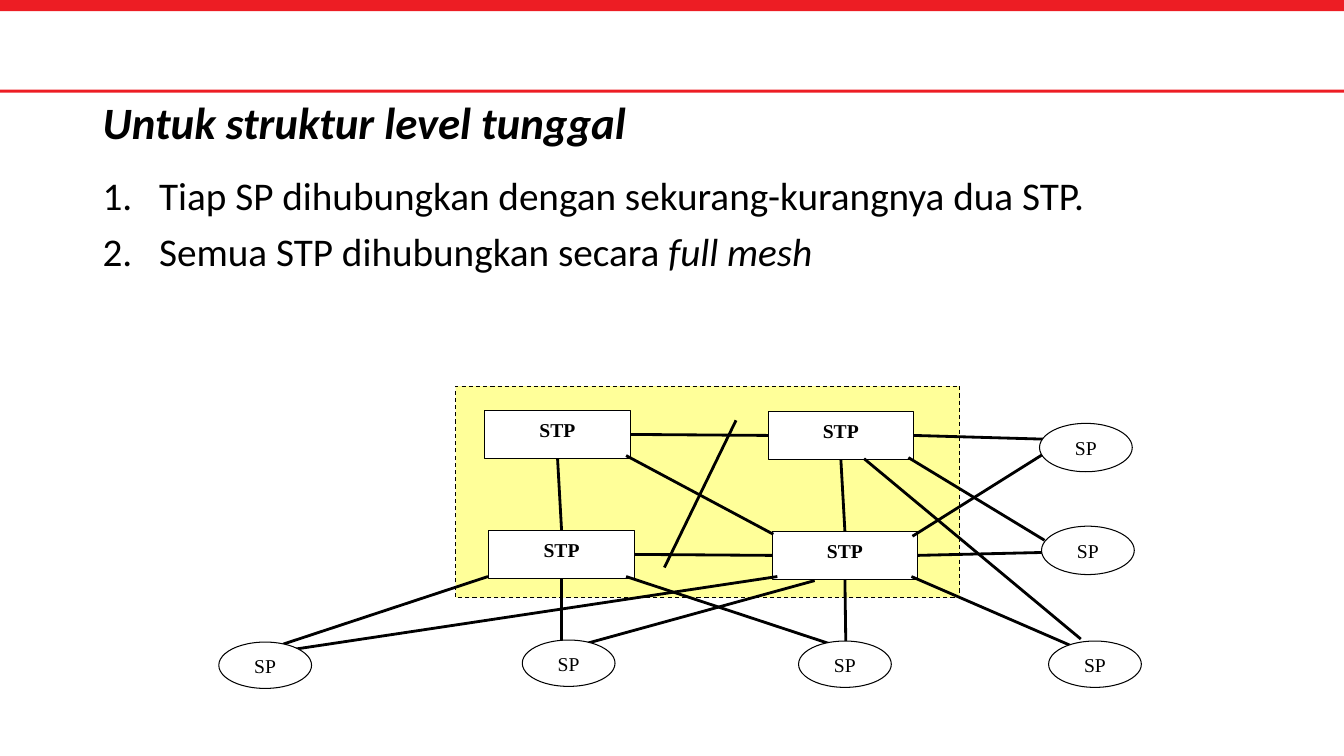
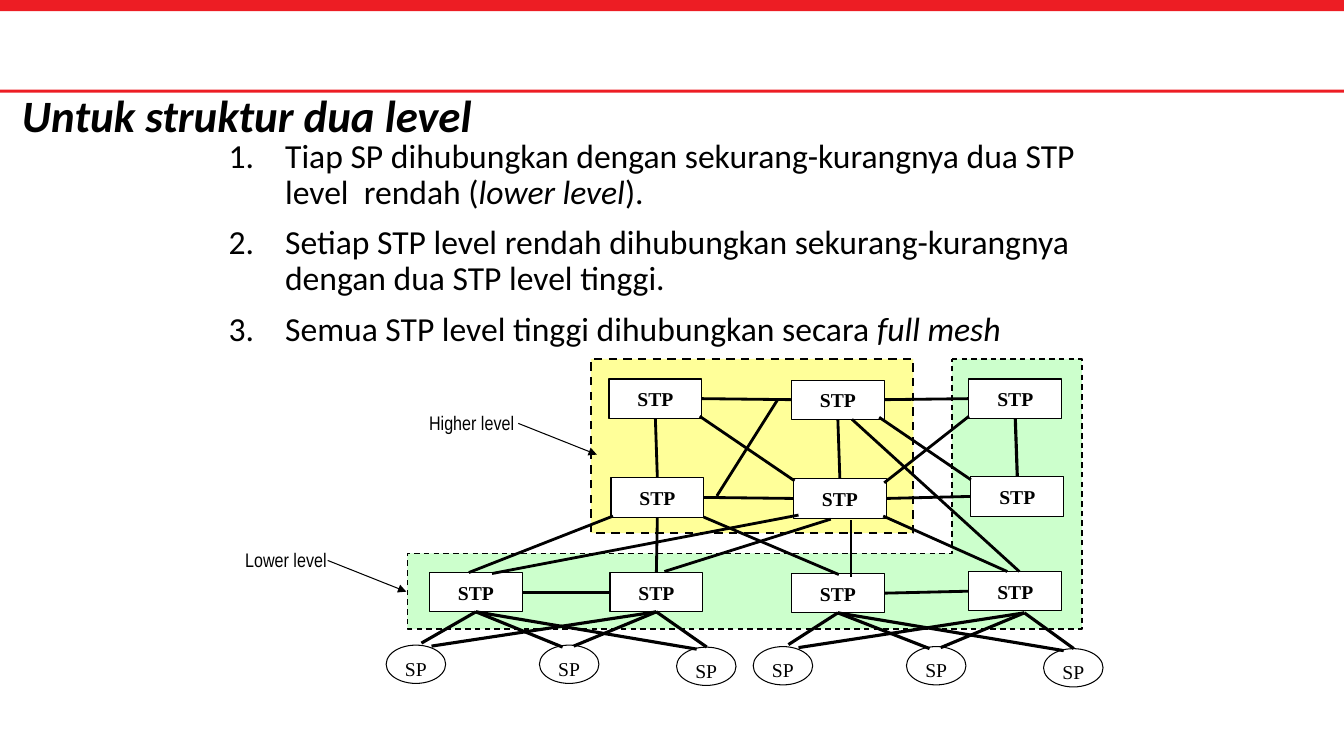
from itertools import product
from typing import NamedTuple

from lxml.etree import SubElement
from pptx import Presentation
from pptx.dml.color import RGBColor
from pptx.enum.dml import MSO_LINE
from pptx.enum.shapes import MSO_CONNECTOR, MSO_SHAPE
from pptx.enum.text import MSO_ANCHOR, PP_ALIGN
from pptx.oxml.ns import qn
from pptx.util import Inches, Pt

COLOURS = {"band": "ED1D24", "ink": "000000", "paper": "FFFFFF",
           "yellow": "FFFF99", "green": "CCFFCC"}
FONTS = {
    "title": {"name": "Calibri", "size": Pt(32), "bold": True, "italic": True},
    "body": {"name": "Calibri"},
    "STP": {"name": "Times New Roman", "size": Pt(14), "bold": True},
    "SP": {"name": "Times New Roman", "size": Pt(14)},
    "label": {"name": "Arial Narrow", "size": Pt(14)},
}
GRID_ROWS = 75
GRID_COLUMNS = 133.3
TOP, LEFT, BOTTOM, RIGHT = range(4)


class Port(NamedTuple):
    """The middle of one side of a rectangle."""
    box: object
    side: int


def colour(name):
    return RGBColor.from_string(COLOURS[name])


def set_values(target, values):
    for name, value in values.items():
        setattr(target, name, value)


class NetworkDeck:
    """Holds the deck, its style and the current page; lengths are grid cells."""

    def __init__(self):
        self.deck = Presentation()
        self.deck.slide_width, self.deck.slide_height = Inches(13.33), Inches(7.5)
        self.cell = self.deck.slide_height / GRID_ROWS
        self.page = None

    def cells(self, *lengths):
        return [round(length * self.cell) for length in lengths]

    def new_page(self):
        self.page = self.deck.slides.add_slide(self.deck.slide_layouts[6])
        for top, height in ((0, 1.1), (8.9, 0.3)):
            self.shape(MSO_SHAPE.RECTANGLE, (0, top, GRID_COLUMNS, height), "band", 0)

    def paint(self, shape, fill, line_width, dashed=False):
        shape.shadow.inherit = False
        shape.fill.solid()
        shape.fill.fore_color.rgb = colour(fill)
        if not line_width:
            shape.line.fill.background()
            return
        shape.line.color.rgb = colour("ink")
        shape.line.width = Pt(line_width)
        if dashed:
            shape.line.dash_style = MSO_LINE.DASH

    def shape(self, kind, area, fill, line_width, dashed=False):
        shape = self.page.shapes.add_shape(kind, *self.cells(*area))
        self.paint(shape, fill, line_width, dashed)
        return shape

    def zone(self, area, line_width):
        return self.shape(MSO_SHAPE.RECTANGLE, area, "yellow", line_width, True)

    def outline_zone(self, corners, line_width):
        start, *others = [self.cells(*corner) for corner in corners]
        builder = self.page.shapes.build_freeform(*start)
        builder.add_line_segments(others, close=True)
        self.paint(builder.convert_to_shape(), "green", line_width, True)

    def add_spans(self, paragraph, pieces, style, **changes):
        """Add pieces of text; every second piece is italic."""
        for number, piece in enumerate(pieces):
            span = paragraph.add_run()
            span.text = piece
            set_values(span.font, {**FONTS[style], **changes})
            span.font.color.rgb = colour("ink")
            if number % 2:
                span.font.italic = True

    def frame(self, box, anchor, margins=None, wrap=True):
        """Set up a text frame; margins are left, top, right and bottom."""
        frame = box.text_frame
        set_values(frame, {"word_wrap": wrap, "vertical_anchor": anchor})
        if margins:
            names = ("margin_left", "margin_top", "margin_right", "margin_bottom")
            set_values(frame, dict(zip(names, self.cells(*margins))))
        return frame

    def text_box(self, area):
        return self.page.shapes.add_textbox(*self.cells(*area))

    def title(self, text, area):
        paragraph = self.frame(self.text_box(area), MSO_ANCHOR.MIDDLE).paragraphs[0]
        paragraph.line_spacing = 0.9
        self.add_spans(paragraph, [text], "title")

    def numbered_list(self, items, area, size):
        frame = self.frame(self.text_box(area), MSO_ANCHOR.TOP)
        indent = self.cells(5.6)[0]
        for number, pieces in enumerate(items):
            paragraph = frame.add_paragraph() if number else frame.paragraphs[0]
            properties = paragraph._p.get_or_add_pPr()
            properties.set("marL", str(indent))
            properties.set("indent", str(-indent))
            SubElement(properties, qn("a:buAutoNum"), type="arabicPeriod")
            paragraph.line_spacing = 0.9
            if number:
                paragraph.space_before = Pt(10)
            self.add_spans(paragraph, pieces, "body", size=Pt(size))

    def label(self, text, area):
        frame = self.frame(self.text_box(area), MSO_ANCHOR.TOP, (0.2,) * 4)
        frame.paragraphs[0].alignment = PP_ALIGN.RIGHT
        self.add_spans(frame.paragraphs[0], [text], "label")

    def stp(self, place, size):
        box = self.shape(MSO_SHAPE.RECTANGLE, (*place, *size), "paper", 0.75)
        frame = self.frame(box, MSO_ANCHOR.TOP, (0.2, 0.8, 0.2, 0.2))
        frame.paragraphs[0].alignment = PP_ALIGN.CENTER
        self.add_spans(frame.paragraphs[0], ["STP"], "STP")
        return box

    def sp(self, place, size, drop=0):
        oval = self.shape(MSO_SHAPE.OVAL, (*place, *size), "paper", 0.75)
        frame = self.frame(oval, MSO_ANCHOR.MIDDLE, (0, drop, 0, 0), wrap=False)
        frame.paragraphs[0].alignment = PP_ALIGN.CENTER
        self.add_spans(frame.paragraphs[0], ["SP"], "SP")

    def link(self, start, end, width=2, arrow=False):
        """Draw a line between two ends, each a Port or a (column, row) point."""
        points = [(0, 0) if isinstance(stop, Port) else self.cells(*stop)
                  for stop in (start, end)]
        line = self.page.shapes.add_connector(
            MSO_CONNECTOR.STRAIGHT, *points[0], *points[1])
        for stop, connect in ((start, line.begin_connect), (end, line.end_connect)):
            if isinstance(stop, Port):
                connect(stop.box, stop.side)
        line.line.color.rgb = colour("ink")
        line.line.width = Pt(width)
        properties = line._element.spPr
        if arrow:
            SubElement(properties.find(qn("a:ln")), qn("a:tailEnd"), type="triangle")
        SubElement(properties, qn("a:effectLst"))

    def links(self, pairs, width=2):
        for start, end in pairs:
            self.link(start, end, width)


def single_level(network):
    network.new_page()
    network.title("Untuk struktur level tunggal", (9.2, 9.9, 115, 5))
    network.numbered_list([
        ["Tiap SP dihubungkan dengan sekurang-kurangnya dua STP."],
        ["Semua STP dihubungkan secara ", "full mesh"],
    ], (9.2, 17, 115, 50.6), 28)

    network.zone((45.2, 38.3, 50, 21), 0.75)
    upper_left, upper_right, lower_left, lower_right = [
        network.stp((48.1 + 28.1 * column + 0.4 * row,
                     40.7 + 11.9 * row + 0.1 * column), (14.4, 4.8))
        for row, column in product(range(2), repeat=2)]
    network.links([
        (Port(upper_left, RIGHT), Port(upper_right, LEFT)),
        (Port(lower_left, RIGHT), Port(lower_right, LEFT)),
        (Port(upper_left, BOTTOM), Port(lower_left, TOP)),
        (Port(upper_right, BOTTOM), Port(lower_right, TOP)),
        ((62.1, 45.2), (76.7, 53)),
        ((65.9, 56.3), (73, 41.7)),
        (Port(upper_right, RIGHT), (104.7, 43.6)),
        (Port(lower_right, RIGHT), (103.8, 54.8)),
        ((90.5, 53.2), (103.4, 45.1)),
        ((90.1, 45.4), (103.6, 53.6)),
        ((85.7, 45.5), (107.2, 63.4)),
        ((48.4, 57.2), (28.1, 63.9)),
        (Port(lower_left, BOTTOM), (55.7, 64)),
        (Port(lower_right, BOTTOM), (83.9, 64.5)),
        ((77.1, 57.2), (28.6, 64.5)),
        ((62.1, 57.2), (83, 64.1)),
        ((80.8, 57.6), (58.3, 63.8)),
        ((90.4, 57.2), (106.1, 64)),
    ])
    for place in ((103.1, 42), (103.3, 52.2)):
        network.sp(place, (9.2, 4.8))
    for place in ((21.7, 63.7), (51.8, 63.5), (79.2, 63.6), (104, 63.6)):
        network.sp(place, (9.2, 4.6))


def two_levels(network):
    network.new_page()
    network.title("Untuk struktur dua level", (1.2, 5.5, 90, 12.5))
    network.numbered_list([
        ["Tiap SP dihubungkan dengan sekurang-kurangnya dua STP level  rendah (",
         "lower level", ")."],
        ["Setiap STP level rendah dihubungkan sekurang-kurangnya dengan dua STP "
         "level tinggi."],
        ["Semua STP level tinggi dihubungkan secara ", "full mesh"],
    ], (21.7, 13.3, 90, 49.5), 24)

    network.zone((58.6, 35.6, 32, 17.3), 1.5)
    network.outline_zone([(94.4, 35.6), (107.3, 35.6), (107.3, 62.4),
                          (40.4, 62.4), (40.4, 54.9), (94.4, 54.9)], 1)

    def stp_row(*places):
        return [network.stp(place, (9.2, 3.9)) for place in places]

    top = stp_row((60.4, 37.6), (78.5, 37.7), (96.1, 37.6))
    middle = stp_row((60.6, 47.4), (78.7, 47.5), (96.3, 47.3))
    bottom = stp_row((42.6, 56.8), (60.5, 56.8), (78.5, 56.9), (96.1, 56.7))
    for row in (top, middle):
        for left, right in zip(row, row[1:]):
            network.link(Port(left, RIGHT), Port(right, LEFT))
    for upper, lower, width in zip(top, middle, (2, 2, 2.25)):
        network.link(Port(upper, BOTTOM), Port(lower, TOP), width)
    for left, right, width in ((*bottom[:2], 2.25), (*bottom[2:], 2)):
        network.link(Port(left, RIGHT), Port(right, LEFT), width)
    network.links([
        (Port(middle[0], BOTTOM), Port(bottom[1], TOP)),
        ((84.4, 51.6), (84.4, 57.2)),
        ((60.8, 51.2), (46.5, 56.8)),
        ((79.2, 51.1), (48.8, 56.9)),
        ((69.8, 51.3), (83.2, 57)),
        ((82.4, 51.5), (65.9, 56.7)),
        ((87.7, 47.9), (96.1, 41.3)),
        ((87.2, 41.4), (96.3, 47.6)),
        ((87.6, 51.2), (99.9, 56.7)),
        ((84.5, 41.6), (101.1, 56.7)),
        ((69.4, 41.3), (78.8, 47.7)),
        ((71.1, 49.2), (77.1, 39.7)),
    ])

    for text, area, start in (("Lower level", (20.4, 54.2, 12.2, 3.1), (32.5, 55.6)),
                              ("Higher level", (38.5, 40.6, 12.7, 3.1), (51.4, 42))):
        network.label(text, area)
        network.link(start, (start[0] + 7.8, start[1] + 3.1), 0.75, arrow=True)

    hubs = [Port(box, BOTTOM) for box in bottom[:3]] + [(101.6, 60.8)]
    for group in range(2):
        shift, drop = 36.4 * group, 0.15 * group
        for column, row in ((38.3, 64), (53.5, 64), (67.1, 64.2)):
            network.sp((column + shift, row + drop), (5.9, 3.8), 0.8)
        ends = (((41.8, 63.8), (55.8, 64.2), (69.1, 64.4)),
                ((42.8, 64.1), (56.9, 64.1), (70.1, 64.2)))
        for hub, points in zip(hubs[2 * group:], ends):
            network.links([(hub, (column + shift, row + drop))
                           for column, row in points], 2.25)


def main():
    network = NetworkDeck()
    single_level(network)
    two_levels(network)
    network.deck.save("out.pptx")


if __name__ == "__main__":
    main()
